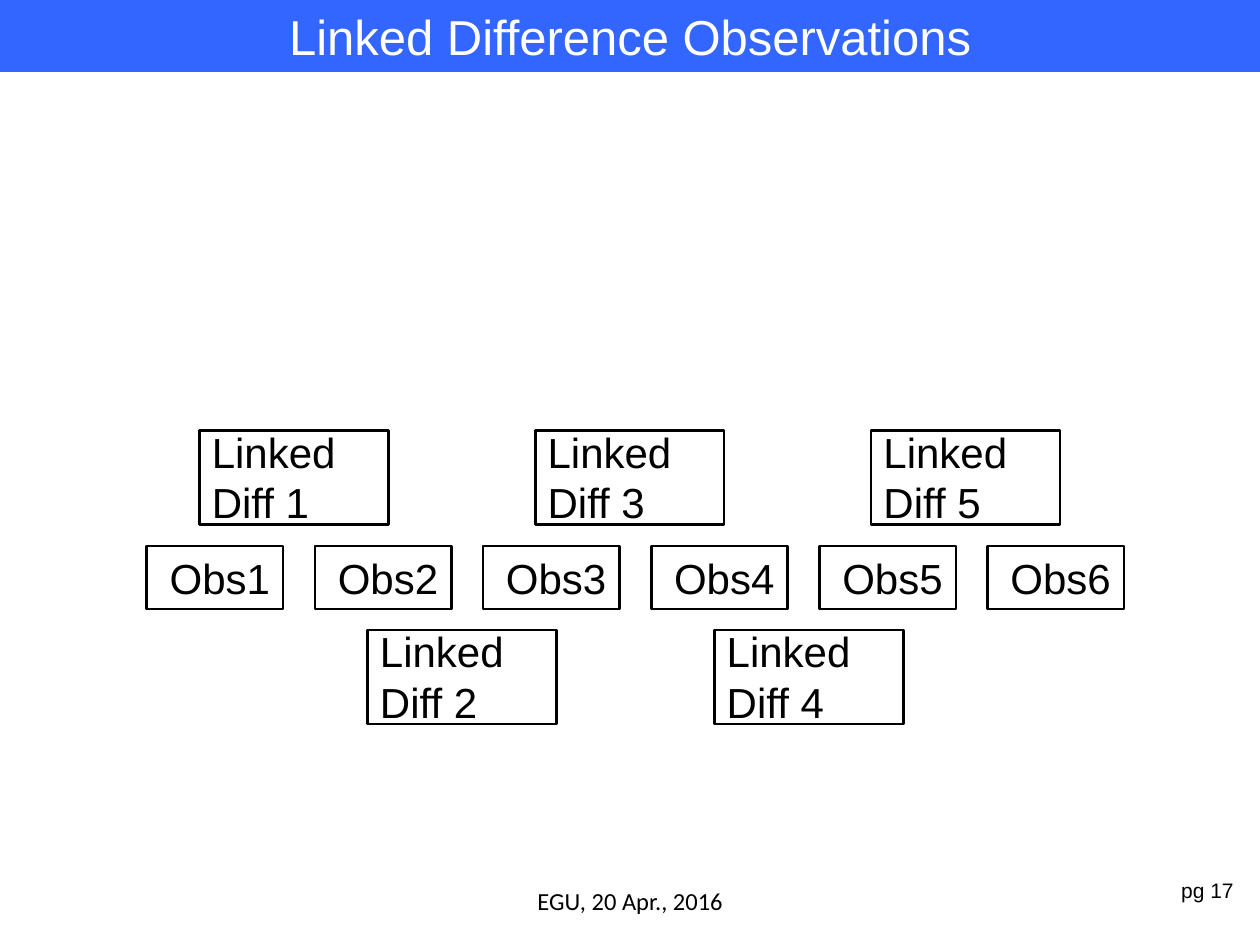
from dataclasses import dataclass

from pptx import Presentation
from pptx.dml.color import RGBColor
from pptx.enum.shapes import MSO_SHAPE as Preset
from pptx.enum.text import MSO_ANCHOR as Anchor, MSO_AUTO_SIZE as AutoSize, PP_ALIGN as Align
from pptx.util import Cm, Pt

BLUE = "3366FF"
WHITE = "FFFFFF"
BLACK = "000000"


@dataclass(frozen=True)
class Box:
    left: float
    top: float
    width: float
    height: float

    def lengths(self) -> tuple:
        return Cm(self.left), Cm(self.top), Cm(self.width), Cm(self.height)

    def shifted(self, distance: float) -> "Box":
        return Box(self.left + distance, self.top, self.width, self.height)


@dataclass(frozen=True)
class Row:
    label: str
    numbers: tuple[int, ...]
    pitch: float
    frame: Box
    text: Box


ROWS = (
    Row("Obs{}", (1, 2, 3, 4, 5, 6), 3.39,
        Box(2.96, 11.01, 2.75, 1.27), Box(3.17, 11.01, 2.54, 1.27)),
    Row("Linked\nDiff {}", (1, 3, 5), 6.77,
        Box(4.02, 8.68, 3.81, 1.9), Box(4.02, 8.47, 3.81, 2.31)),
    Row("Linked\nDiff {}", (2, 4), 6.99,
        Box(7.41, 12.7, 3.81, 1.9), Box(7.41, 12.49, 3.81, 2.31)),
)


def color(value: str) -> RGBColor:
    return RGBColor.from_string(value)


def write(shape, text: str, size: float, font_name: str = "Arial", fill: str = BLACK,
          align: Align = Align.LEFT, anchor: Anchor = Anchor.TOP) -> None:
    frame = shape.text_frame
    frame.text = text
    frame.word_wrap = True
    frame.auto_size = AutoSize.NONE
    frame.vertical_anchor = anchor
    for paragraph in frame.paragraphs:
        paragraph.alignment = align
        paragraph.line_spacing = 1.0
        for run in paragraph.runs:
            run.font.name = font_name
            run.font.size = Pt(size)
            run.font.color.rgb = color(fill)


def add_title(slide) -> None:
    title = slide.shapes.title
    title.left, title.top, title.width, title.height = Box(0, 0, 25.4, 1.45).lengths()
    title.fill.solid()
    title.fill.fore_color.rgb = color(BLUE)
    write(title, "Linked Difference Observations", 28, fill=WHITE, align=Align.CENTER)


def add_labelled_frame(slide, label: str, frame_box: Box, text_box: Box) -> None:
    group = slide.shapes.add_group_shape()
    text = group.shapes.add_textbox(*text_box.lengths())
    write(text, label, 24)
    text.text_frame.margin_right = 0
    frame = group.shapes.add_shape(Preset.RECTANGLE, *frame_box.lengths())
    frame.shadow.inherit = False
    frame.fill.background()
    frame.line.color.rgb = color(BLACK)
    frame.line.width = Pt(1.5)


def add_row(slide, row: Row) -> None:
    for index, number in enumerate(row.numbers):
        distance = index * row.pitch
        add_labelled_frame(slide, row.label.format(number),
                           row.frame.shifted(distance), row.text.shifted(distance))


def main() -> None:
    presentation = Presentation()
    presentation.slide_width = Cm(25.4)
    presentation.slide_height = Cm(19.05)
    slide = presentation.slides.add_slide(presentation.slide_layouts[5])

    page_number = slide.shapes.add_textbox(*Box(23.49, 17.57, 1.7, 0.84).lengths())
    page_number.text_frame.margin_left = page_number.text_frame.margin_right = 0
    write(page_number, "pg 17", 12, align=Align.CENTER)
    footer = slide.shapes.add_textbox(*Box(8.68, 17.65, 8.05, 1.02).lengths())
    write(footer, "EGU, 20 Apr., 2016", 14, "Calibri", align=Align.CENTER, anchor=Anchor.MIDDLE)

    add_title(slide)
    for row in ROWS:
        add_row(slide, row)
    presentation.save("out.pptx")


if __name__ == "__main__":
    main()
